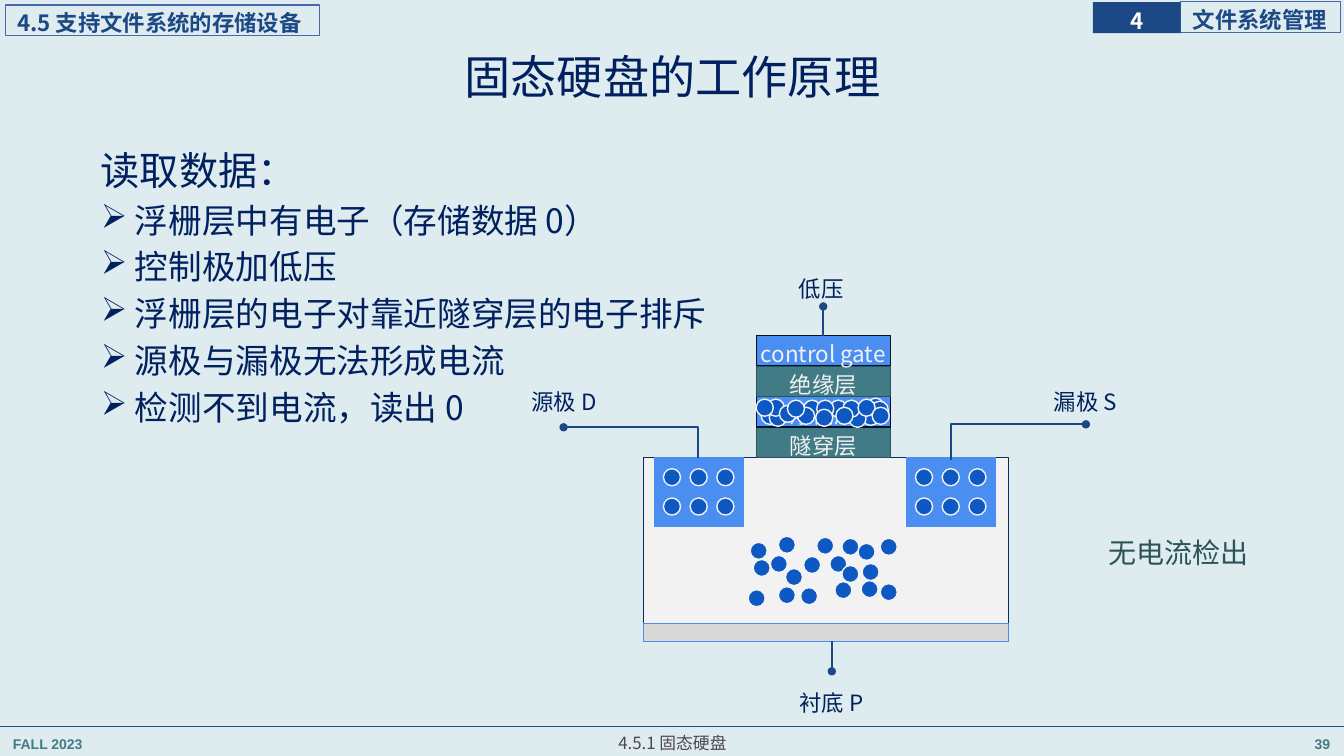
from lxml import etree
from pptx import Presentation, util as u
from pptx.dml.color import RGBColor
from pptx.enum import shapes, text
from pptx.oxml.ns import qn

CJK = "Noto Sans CJK SC"
NAVY, BLUE, GATE, LAYER = "002060", "1C4885", "4A8EF2", "417B85"
PALE, ELECTRON, FRAME = "F2F2F2", "0E58C4", "4A66AC"
LEFT, CENTER, RIGHT = text.PP_ALIGN.LEFT, text.PP_ALIGN.CENTER, text.PP_ALIGN.RIGHT
RECT, OVAL = shapes.MSO_SHAPE.RECTANGLE, shapes.MSO_SHAPE.OVAL
STRAIGHT, ELBOW = shapes.MSO_CONNECTOR.STRAIGHT, shapes.MSO_CONNECTOR.ELBOW

SUBSTRATE_ELECTRONS = [
    (7.94, 5.83), (8.55, 5.59), (8.51, 5.39), (8.23, 5.51), (8.73, 5.34),
    (7.42, 5.85), (7.97, 5.52), (7.79, 5.64), (7.64, 5.51), (7.47, 5.55),
    (7.44, 5.38), (8.28, 5.77), (8.54, 5.76), (8.35, 5.61), (8.1, 5.33),
    (7.72, 5.82), (8.35, 5.34), (7.72, 5.32), (8.73, 5.79)]
FLOATING_GATE_ELECTRONS = [
    (7.55, 4.04), (8.55, 4.05), (8.6, 3.95), (8.23, 3.97), (8.64, 3.98),
    (7.63, 4.06), (7.97, 3.97), (7.91, 4.04), (7.61, 3.96), (7.73, 4.02),
    (7.5, 3.96), (8.42, 4.07), (8.36, 3.97), (8.29, 4.04), (8.1, 3.97),
    (8.09, 4.06), (8.51, 3.96), (7.81, 3.97), (8.65, 4.04)]


def rgb(value):
    return RGBColor.from_string(value)


def style(p, size, color, font=CJK, bold=False, align=LEFT):
    p.alignment = align
    p.font.size, p.font.name, p.font.bold = u.Pt(size), font, bold
    p.font.color.rgb = rgb(color)
    for r in p.runs:
        r.font.name = font
        latin = r._r.get_or_add_rPr().find(qn("a:latin"))
        east_asian = etree.Element(qn("a:ea"), typeface=font)
        latin.addnext(east_asian)


def write(tf, words, size, color, **options):
    p = tf.paragraphs[0]
    p.text = words
    style(p, size, color, **options)
    p.line_spacing = 1.2
    p.space_before = p.space_after = u.Pt(size / 10)


def set_insets(tf, left, top, right, bottom):
    tf.margin_left, tf.margin_top = u.Inches(left), u.Inches(top)
    tf.margin_right, tf.margin_bottom = u.Inches(right), u.Inches(bottom)


def add_textbox(s, x, y, w, h):
    tf = s.shapes.add_textbox(*map(u.Inches, (x, y, w, h))).text_frame
    tf.word_wrap = True
    return tf


def add_label(s, words, x, y, w, h, size=16, color=NAVY, align=CENTER, **options):
    write(add_textbox(s, x, y, w, h), words, size, color, align=align, **options)


def add_box(s, kind, x, y, w, h, fill=None, line=None, weight=0.75):
    sp = s.shapes.add_shape(kind, *map(u.Inches, (x, y, w, h)))
    sp.shadow.inherit = False
    if fill:
        sp.fill.solid()
        sp.fill.fore_color.rgb = rgb(fill)
    else:
        sp.fill.background()
    if line:
        sp.line.color.rgb = rgb(line)
        sp.line.width = u.Pt(weight)
    else:
        sp.line.fill.background()
    return sp


def add_text_box_shape(s, words, x, y, w, h, fill, line, color,
                       align=CENTER, inset=0, bold=False):
    sp = add_box(s, RECT, x, y, w, h, fill, line)
    tf = sp.text_frame
    tf.word_wrap = True
    tf.vertical_anchor = text.MSO_ANCHOR.MIDDLE
    set_insets(tf, inset, 0, 0, 0)
    write(tf, words, 16, color, align=align, bold=bold)
    return sp


def add_electrons(s, places):
    for x, y in places:
        add_box(s, OVAL, x, y, 0.17, 0.17, ELECTRON, PALE, 1)


def add_reservoir(s, x, y):
    add_box(s, RECT, x, y, 0.88, 0.68, GATE, GATE)
    add_electrons(s, [(x + 0.09 + 0.265 * col, y + 0.11 + 0.29 * row)
                      for row in range(2) for col in range(3)])


def add_line(s, kind, x1, y1, x2, y2, color=BLUE, weight=1.25, bend=None, dot=True):
    line = s.shapes.add_connector(kind, *map(u.Inches, (x1, y1, x2, y2)))
    line.line.color.rgb = rgb(color)
    line.line.width = u.Pt(weight)
    props = line._element.spPr
    if dot:
        etree.SubElement(props.find(qn("a:ln")), qn("a:tailEnd"), type="oval")
    etree.SubElement(props, qn("a:effectLst"))
    if bend is not None:
        guides = props.find(qn("a:prstGeom")).get_or_add_avLst()
        etree.SubElement(guides, qn("a:gd"), name="adj1", fmla=f"val {bend}")
    return line


def add_header_and_footer(s):
    footer = dict(size=10, color=LAYER, font="Arial", bold=True)
    add_label(s, "FALL 2023", 0.03, 7.21, 2.78, 0.31, align=LEFT, **footer)
    add_label(s, "39", 10.51, 7.21, 2.78, 0.31, align=RIGHT, **footer)
    add_text_box_shape(s, "文件系统管理", 11.71, 0.02, 1.59, 0.3, None, FRAME,
                       BLUE, LEFT, 0.12, True)
    add_text_box_shape(s, "4", 10.84, 0.02, 0.87, 0.31, BLUE, None, "FFFFFF", bold=True)
    add_line(s, STRAIGHT, -0.03, 7.21, 13.33, 7.21, "234F77", 0.5, dot=False)
    add_text_box_shape(s, "4.5 支持文件系统的存储设备", 0.05, 0.05, 3.12, 0.3, None,
                       FRAME, BLUE, LEFT, 0.12, True)
    add_label(s, "4.5.1 固态硬盘", 1.67, 7.18, 10, 0.32, 12, "504652")


def add_title(s):
    tf = add_textbox(s, 0.92, 0.4, 11.5, 0.77)
    tf.vertical_anchor = text.MSO_ANCHOR.MIDDLE
    set_insets(tf, 0.08, 0.04, 0.08, 0.04)
    p = tf.paragraphs[0]
    p.text = "固态硬盘的工作原理"
    style(p, 33, NAVY, align=CENTER)
    p.line_spacing = 0.9


def add_reading_steps(s):
    tf = add_textbox(s, 0.92, 1.46, 11.5, 5.64)
    set_insets(tf, 0.08, 0.04, 0.08, 0.04)
    steps = ["读取数据：", " 浮栅层中有电子（存储数据 0）", " 控制极加低压",
             " 浮栅层的电子对靠近隧穿层的电子排斥", " 源极与漏极无法形成电流",
             " 检测不到电流，读出 0"]
    for i, words in enumerate(steps):
        p = tf.add_paragraph() if i else tf.paragraphs[0]
        p.text = words
        style(p, 24 if i else 28, NAVY)
        p.line_spacing = 0.9
        p.space_before = u.Pt(7.5)
        if i:
            props = p._p.get_or_add_pPr()
            props.set("marL", str(u.Inches(0.19)))
            props.set("indent", str(u.Inches(-0.19)))
            bullet = etree.Element(qn("a:buChar"), char="➢")
            props.find(qn("a:defRPr")).addprevious(bullet)


def add_transistor(s):
    # Substrate with source and drain
    add_box(s, RECT, 6.38, 4.54, 3.62, 1.82, PALE, "072C62")
    add_reservoir(s, 8.99, 4.54)
    add_box(s, RECT, 6.38, 6.19, 3.62, 0.17, "D9D9D9", GATE)
    add_reservoir(s, 6.49, 4.54)

    # Gate stack, bottom to top
    layers = [("隧穿层", LAYER, "2B5259"), ("浮栅层", GATE, "031227"),
              ("绝缘层", LAYER, "2B5259"), ("control gate", GATE, "031227")]
    for i, (words, fill, line) in enumerate(layers):
        gate = add_text_box_shape(s, words, 7.5, 4.24 - 0.303 * i, 1.33, 0.3,
                                  fill, line, PALE)

    # Terminals
    low_voltage = add_line(s, STRAIGHT, 8.165, 3.33, 8.165, 3.04)
    low_voltage.begin_connect(gate, 0)
    add_line(s, STRAIGHT, 8.25, 6.36, 8.25, 6.66)
    add_label(s, "低压", 7.33, 2.63, 1.63, 0.4)
    add_label(s, "衬底 P", 7.65, 6.73, 1.19, 0.4)

    # Electrons
    add_electrons(s, SUBSTRATE_ELECTRONS)
    add_label(s, "无电流检出", 10.34, 5.2, 2.7, 0.47, 20, "2B5259")
    add_electrons(s, FLOATING_GATE_ELECTRONS)

    # Source and drain leads
    add_line(s, ELBOW, 9.42, 4.56, 10.77, 4.21, bend=900)
    add_line(s, ELBOW, 6.93, 4.54, 5.59, 4.24, bend=300)
    add_label(s, "源极 D", 5, 3.75, 1.19, 0.4)
    add_label(s, "漏极 S", 10.17, 3.75, 1.19, 0.4)


def main():
    prs = Presentation()
    prs.slide_width, prs.slide_height = u.Inches(13.33), u.Inches(7.5)
    s = prs.slides.add_slide(prs.slide_layouts[6])
    s.background.fill.solid()
    s.background.fill.fore_color.rgb = rgb("DEECEF")
    add_header_and_footer(s)
    add_reading_steps(s)
    add_title(s)
    add_transistor(s)
    prs.save("out.pptx")


if __name__ == "__main__":
    main()
